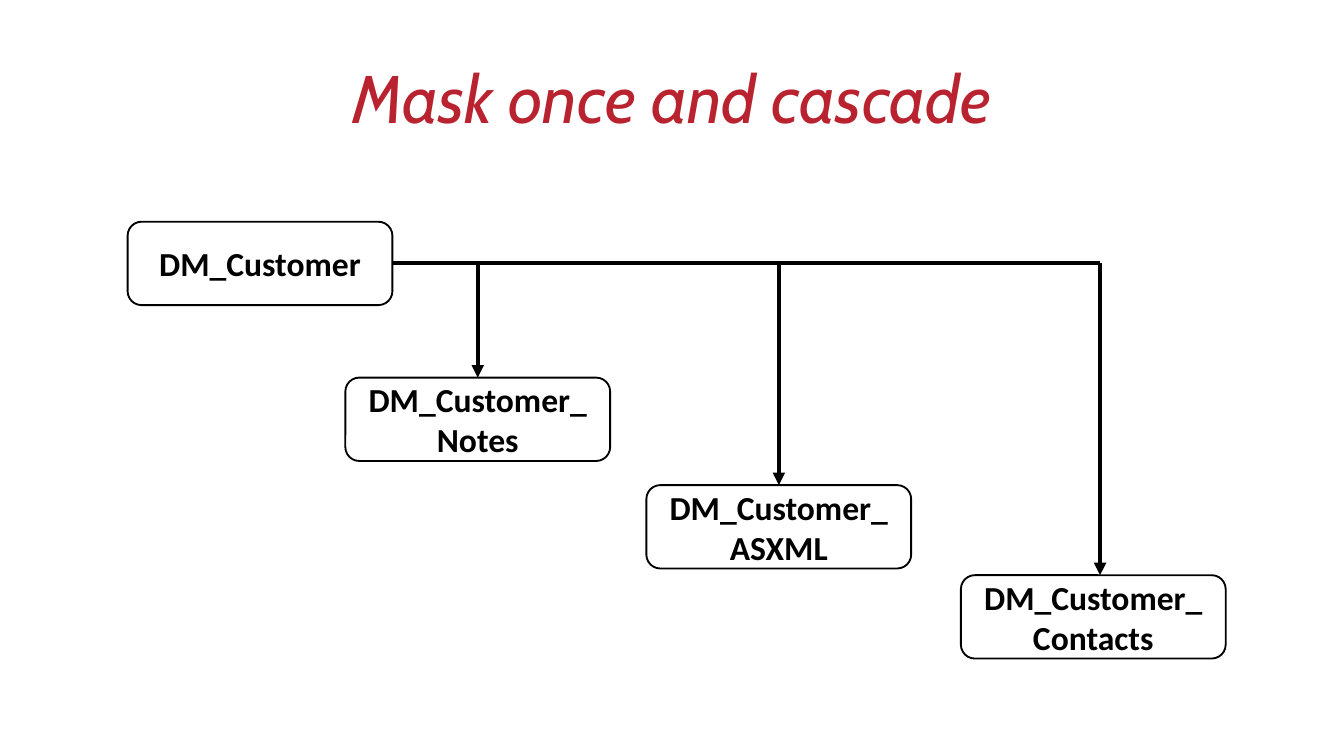
from dataclasses import dataclass

from lxml import etree
from pptx import Presentation
from pptx.dml.color import RGBColor
from pptx.enum import shapes, text
from pptx.oxml import ns
from pptx.shapes.autoshape import Shape
from pptx.shapes.connector import Connector
from pptx.slide import Slide
from pptx.util import Inches, Pt

TOP, RIGHT = 0, 3  # connection sites of a rectangle


@dataclass(frozen=True)
class Theme:
    accent: RGBColor = RGBColor(0xB8, 0x23, 0x2F)
    ink: RGBColor = RGBColor(0, 0, 0)
    title_font: str = "Cabin"
    label_font: str = "Calibri"
    title_size: float = 36
    label_size: float = 18
    outline: float = 1
    arrow: float = 2.25


@dataclass(frozen=True)
class DataTable:
    name: str
    left: float
    top: float
    arrow_offset: float = 0  # arrow's distance from the middle of the top side

    @property
    def arrow_x(self) -> float:
        return self.left + BOX_WIDTH / 2 + self.arrow_offset


THEME = Theme()
BOX_WIDTH, BOX_HEIGHT = 1.97, 0.62
MASKED = DataTable("DM_Customer", 0.95, 1.65)
DEPENDENTS = [
    DataTable("DM_Customer_Notes", 2.57, 2.81),
    DataTable("DM_Customer_ASXML", 4.81, 3.61),
    DataTable("DM_Customer_Contacts", 7.15, 4.28, arrow_offset=0.05),
]
BUS_Y = MASKED.top + BOX_HEIGHT / 2


def add_title(slide: Slide, wording: str) -> None:
    title = slide.shapes.title
    title.left, title.top = Inches(0.69), Inches(0.21)
    title.width, title.height = Inches(8.62), Inches(1.09)
    frame = title.text_frame
    frame.vertical_anchor = text.MSO_ANCHOR.MIDDLE
    frame.margin_left = frame.margin_right = Inches(0.07)
    frame.margin_top = frame.margin_bottom = Inches(0.04)
    paragraph = frame.paragraphs[0]
    paragraph.alignment = text.PP_ALIGN.CENTER
    paragraph.line_spacing = 0.9
    run = paragraph.add_run()
    run.text = wording
    run.font.name = THEME.title_font
    run.font.size = Pt(THEME.title_size)
    run.font.italic = True
    run.font.color.rgb = THEME.accent


def add_box(slide: Slide, table: DataTable) -> Shape:
    box = slide.shapes.add_shape(
        shapes.MSO_SHAPE.ROUNDED_RECTANGLE,
        Inches(table.left), Inches(table.top),
        Inches(BOX_WIDTH), Inches(BOX_HEIGHT),
    )
    box.shadow.inherit = False
    box.fill.background()
    box.line.color.rgb = THEME.ink
    box.line.width = Pt(THEME.outline)
    frame = box.text_frame
    frame.word_wrap = True
    frame.vertical_anchor = text.MSO_ANCHOR.MIDDLE
    paragraph = frame.paragraphs[0]
    paragraph.alignment = text.PP_ALIGN.CENTER
    run = paragraph.add_run()
    run.text = table.name
    run.font.name = THEME.label_font
    run.font.size = Pt(THEME.label_size)
    run.font.bold = True
    run.font.color.rgb = THEME.ink
    return box


def add_line(slide: Slide, x1: float, y1: float, x2: float, y2: float,
             arrowhead: bool = False) -> Connector:
    line = slide.shapes.add_connector(
        shapes.MSO_CONNECTOR.STRAIGHT,
        Inches(x1), Inches(y1), Inches(x2), Inches(y2),
    )
    line.line.color.rgb = THEME.ink
    line.line.width = Pt(THEME.arrow)
    if arrowhead:
        outline = line.line._get_or_add_ln()
        etree.SubElement(outline, ns.qn("a:tailEnd"), type="triangle")
    etree.SubElement(line._element.spPr, ns.qn("a:effectLst"))
    return line


def main() -> None:
    deck = Presentation()
    deck.slide_width = Inches(10)
    deck.slide_height = deck.slide_width * 9 // 16
    slide = deck.slides.add_slide(deck.slide_layouts.get_by_name("Title Only"))
    add_title(slide, "Mask once and cascade")

    masked_box = add_box(slide, MASKED)
    dependent_boxes = [add_box(slide, table) for table in DEPENDENTS]

    bus = add_line(slide, MASKED.left + BOX_WIDTH, BUS_Y,
                   DEPENDENTS[-1].arrow_x, BUS_Y)
    bus.begin_connect(masked_box, RIGHT)

    for table, box in zip(DEPENDENTS, dependent_boxes):
        arrow = add_line(slide, table.arrow_x, BUS_Y,
                         table.arrow_x, table.top, arrowhead=True)
        if not table.arrow_offset:
            arrow.end_connect(box, TOP)

    deck.save("out.pptx")


if __name__ == "__main__":
    main()
